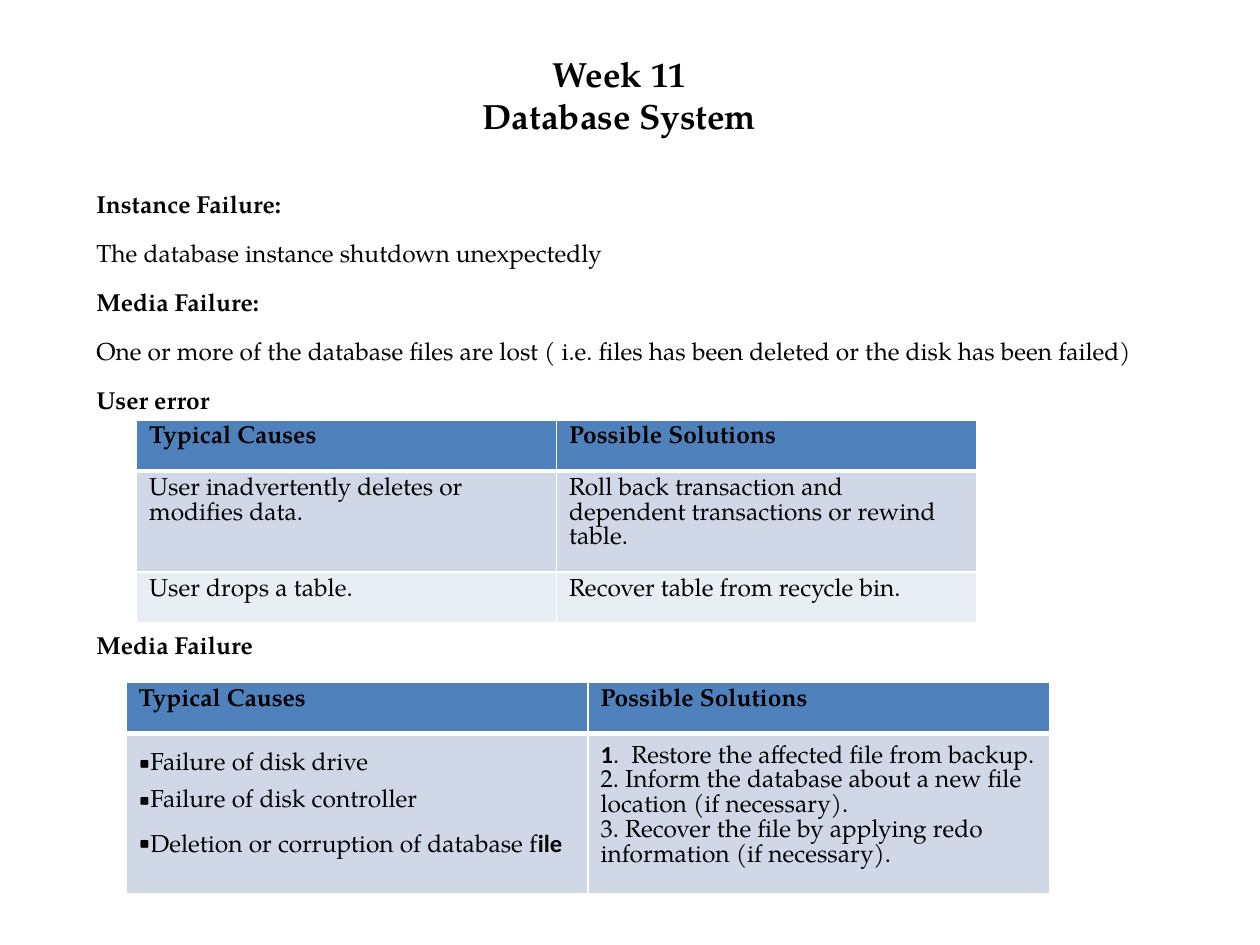
from lxml import etree
from pptx import Presentation
from pptx.dml.color import RGBColor
from pptx.enum.text import MSO_ANCHOR, PP_ALIGN
from pptx.oxml.ns import qn
from pptx.util import Pt

CENTER = PP_ALIGN.CENTER
MIDDLE = MSO_ANCHOR.MIDDLE

SERIF, SANS = "TeX Gyre Pagella", "Calibri"
COLORS = {"text": "000000", "header": "4F81BD", "odd": "D0D8E8",
          "even": "E9EDF4", "border": "FFFFFF"}
TITLE_SIZE, BODY_SIZE = 20, 14
PARAGRAPH_GAP = 2.8
TABLE_GAP = 114.8  # room for the first table between two headings

TITLE = "Week 11\vDatabase System"
# text, bold, space before
BODY = [
    ("Instance Failure:", True, PARAGRAPH_GAP),
    ("The database instance shutdown unexpectedly", False, PARAGRAPH_GAP),
    ("Media Failure:", True, PARAGRAPH_GAP),
    ("One or more of the database files are lost ( i.e. files has been deleted "
     "or the disk has been failed)", False, PARAGRAPH_GAP),
    ("User error", True, PARAGRAPH_GAP),
    ("Media Failure", True, TABLE_GAP),
]
HEADINGS = [["Typical Causes"], ["Possible Solutions"]]
# Each cell is a list of paragraphs; a tuple holds (text, font, bold) runs.
USER_ERROR = [
    HEADINGS,
    [["User inadvertently deletes or modifies data."],
     ["Roll back transaction and dependent transactions or rewind table."]],
    [["User drops a table."], ["Recover table from recycle bin."]],
]
MEDIA_FAILURE = [
    HEADINGS,
    [["▪Failure of disk drive",
      "▪Failure of disk controller",
      (("▪Deletion or corruption of database f", SERIF, False), ("ile", SANS, True))],
     [(("1", SANS, True), (".  Restore the affected file from backup.", SERIF, False)),
      "2. Inform the database about a new file",
      "location (if necessary).",
      "3. Recover the file by applying redo",
      "information (if necessary)."]],
]
ROW_HEIGHT = 29.2  # least height; rows grow with their text
# rows, left, top, column width
TABLES = [
    (USER_ERROR, 78, 240, 240),
    (MEDIA_FAILURE, 72, 390, 264),
]


def style_run(run, size, bold, font=SERIF):
    run.font.name = font
    run.font.size = Pt(size)
    run.font.bold = bold
    run.font.color.rgb = RGBColor.from_string(COLORS["text"])


def add_text_area(slide, left, top, width, height):
    area = slide.shapes.add_textbox(Pt(left), Pt(top), Pt(width), Pt(height))
    area.text_frame.word_wrap = True
    return area.text_frame


def add_bullet(paragraph, bullet):
    properties = paragraph._p.get_or_add_pPr()
    properties.set("marL", "0")
    properties.set("indent", "0")
    etree.SubElement(properties, qn("a:buFont")).set("typeface", SERIF)
    etree.SubElement(properties, qn("a:buChar")).set("char", bullet)


def set_borders(cell, is_header):
    """Header cells get a thick bottom edge; other edges are thin."""
    widths = {"L": 1, "R": 1, "T": 1, "B": 3} if is_header else {"L": 1, "R": 1, "B": 1}
    properties = cell._tc.get_or_add_tcPr()
    for position, (side, width) in enumerate(widths.items()):
        line = etree.Element(qn(f"a:ln{side}"), w=str(Pt(width)))
        fill = etree.SubElement(line, qn("a:solidFill"))
        etree.SubElement(fill, qn("a:srgbClr")).set("val", COLORS["border"])
        properties.insert(position, line)


def fill_cell(cell, paragraphs, is_header):
    frame = cell.text_frame
    for index, content in enumerate(paragraphs):
        paragraph = frame.paragraphs[0] if index == 0 else frame.add_paragraph()
        pieces = [(content, SERIF, is_header)] if isinstance(content, str) else content
        if pieces[0][0].startswith("▪"):
            paragraph.line_spacing = 1.5
            add_bullet(paragraph, "▪")
        for text, font, bold in pieces:
            run = paragraph.add_run()
            run.text = text.lstrip("▪")
            style_run(run, BODY_SIZE, bold, font)


def add_failure_table(slide, rows, left, top, column_width):
    columns = len(rows[0])
    table = slide.shapes.add_table(
        len(rows), columns, Pt(left), Pt(top),
        Pt(column_width * columns), Pt(ROW_HEIGHT * len(rows))).table
    for column in table.columns:
        column.width = Pt(column_width)
    for row_index, row in enumerate(rows):
        is_header = row_index == 0
        shade = "header" if is_header else ("even", "odd")[row_index % 2]
        for column_index, paragraphs in enumerate(row):
            cell = table.cell(row_index, column_index)
            cell.fill.solid()
            cell.fill.fore_color.rgb = RGBColor.from_string(COLORS[shade])
            set_borders(cell, is_header)
            fill_cell(cell, paragraphs, is_header)


def main():
    presentation = Presentation()
    presentation.slide_width, presentation.slide_height = Pt(720), Pt(540)
    slide = presentation.slides.add_slide(presentation.slide_layouts[6])

    title = add_text_area(slide, 48, 18, 612, 72)
    title.vertical_anchor = MIDDLE
    title.text = TITLE
    heading = title.paragraphs[0]
    heading.alignment = CENTER
    for run in heading.runs:
        style_run(run, TITLE_SIZE, True)

    body = add_text_area(slide, 48, 96, 612, 420)
    body.text = "\n".join(text for text, _, _ in BODY)
    for paragraph, (_, bold, gap) in zip(body.paragraphs, BODY):
        paragraph.line_spacing = 1.5
        paragraph.space_before = Pt(gap)
        style_run(paragraph.runs[0], BODY_SIZE, bold)

    for table in TABLES:
        add_failure_table(slide, *table)
    presentation.save("out.pptx")


if __name__ == "__main__":
    main()
